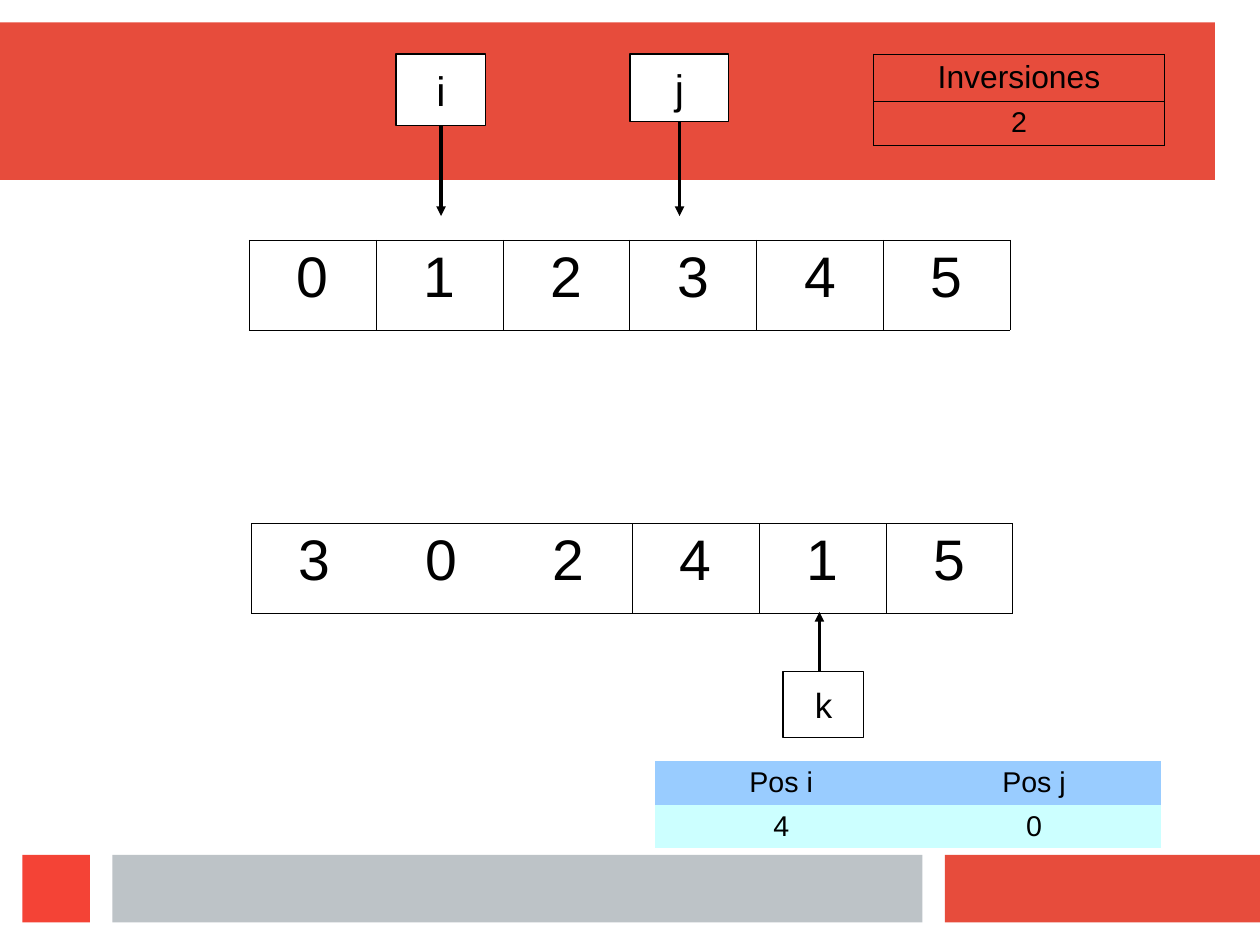
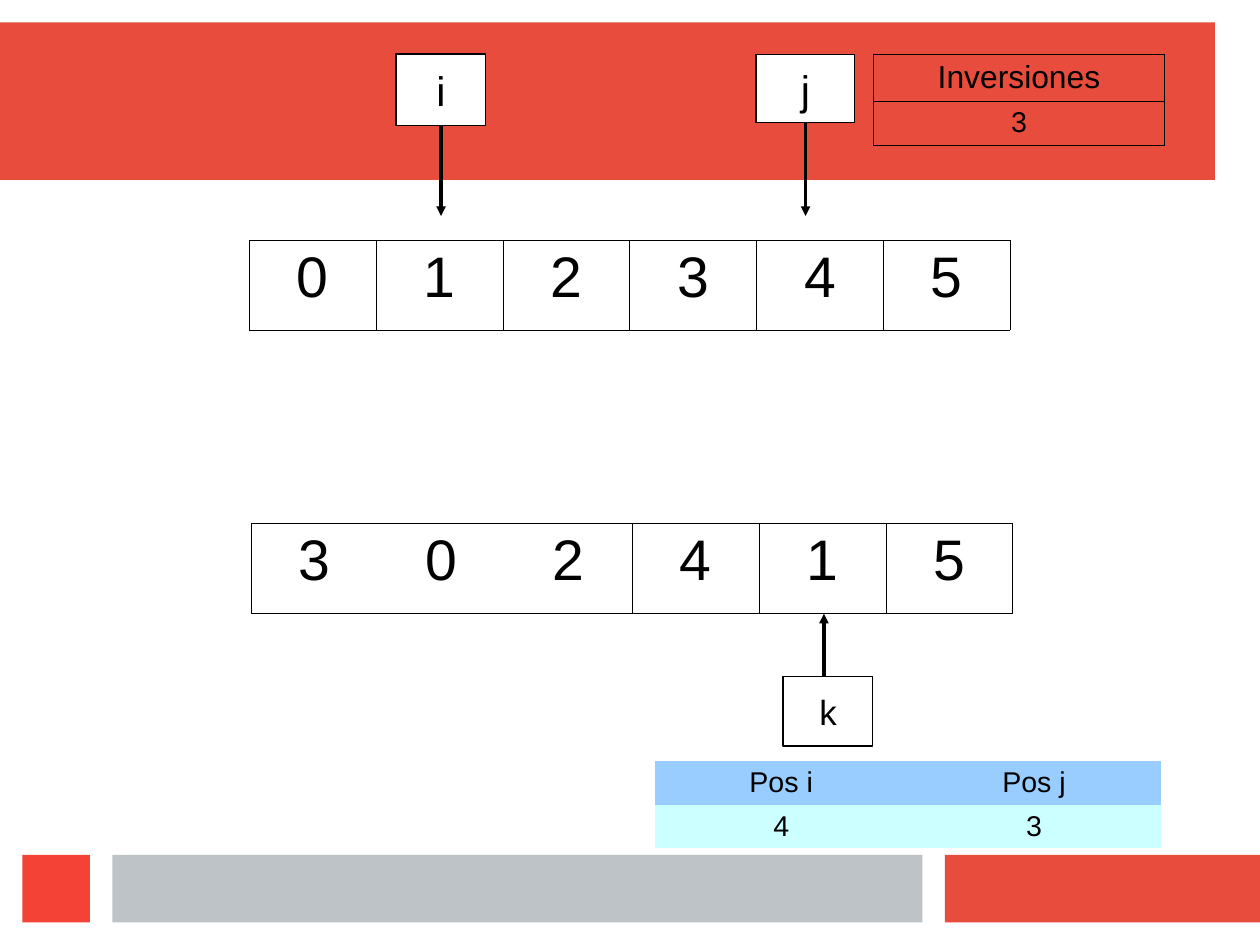
"""Build two slides that count the inversions of an array with pointers i, j and k."""
from dataclasses import dataclass
from typing import Any

from lxml import etree
from pptx import Presentation
from pptx import util as u
from pptx.dml import color
from pptx.enum import shapes, text
from pptx.oxml import ns

COLOURS = {
    "red": "E74C3C",
    "bright_red": "F44336",
    "grey": "BDC3C7",
    "black": "000000",
    "white": "FFFFFF",
    "blue": "99CCFF",
    "cyan": "CCFFFF",
}
FONT = {"name": "Arial"}
POINTER_TEXT = {"word_wrap": False, "vertical_anchor": text.MSO_ANCHOR.MIDDLE}
PLAIN_TABLE = {"first_row": False, "horz_banding": False}
NO_STYLE = "{2D5ABB26-0587-4C30-8999-92F81FD0307C}"
ARRAY_BORDER, COUNTER_BORDER = 0.06, 0.57


@dataclass(frozen=True)
class Band:
    left: float
    top: float
    width: float
    height: float
    colour: str


@dataclass(frozen=True)
class Pointer:
    label: str
    left: float
    top: float
    width: float
    height: float
    size: int
    tip: float
    shift: float = 0


@dataclass(frozen=True)
class Grid:
    left: float
    top: float
    column: float
    heights: tuple[float, ...]
    rows: tuple[tuple[str, ...], ...]
    sizes: tuple[int, ...]
    fills: tuple[str, ...] = ()
    border: float = 0
    joined: int = 1


@dataclass(frozen=True)
class Step:
    inversions: str
    positions: tuple[str, str]
    j: Pointer
    k: Pointer


BANDS = (
    Band(0, 0.5, 27, 3.5, "red"),
    Band(21, 19, 7, 1.5, "red"),
    Band(2.5, 19, 18, 1.5, "grey"),
    Band(0.5, 19, 1.5, 1.5, "bright_red"),
)
ARRAYS = (
    Grid(5.53, 5.33, 2.82, (2,), (tuple("012345"),), (36,), border=ARRAY_BORDER),
    Grid(5.58, 11.63, 2.82, (2,), (tuple("302415"),), (36,), border=ARRAY_BORDER, joined=3),
)
POINTER_I = Pointer("i", 8.8, 1.2, 2, 1.6, 26, 4.8)
STEPS = (
    Step("2", ("4", "0"), Pointer("j", 14, 1.2, 2.2, 1.5, 26, 4.8),
         Pointer("k", 17.4, 14.92, 1.8, 1.47, 22, 13.6, -0.09)),
    Step("3", ("4", "3"), Pointer("j", 16.8, 1.22, 2.2, 1.5, 26, 4.8),
         Pointer("k", 17.4, 15.03, 2, 1.55, 22, 13.64, -0.09)),
)


def rgb(name: str) -> color.RGBColor:
    return color.RGBColor.from_string(COLOURS[name])


def apply(target: Any, values: dict[str, Any]) -> None:
    for attribute, value in values.items():
        setattr(target, attribute, value)


def write(frame: Any, words: str, size: int) -> None:
    paragraph = frame.paragraphs[0]
    paragraph.alignment = text.PP_ALIGN.CENTER
    run = paragraph.add_run()
    run.text = words
    apply(run.font, FONT | {"size": u.Pt(size)})
    run.font.color.rgb = rgb("black")


def add_rectangle(slide: Any, part: Band | Pointer, fill: str) -> Any:
    rectangle = slide.shapes.add_shape(
        shapes.MSO_SHAPE.RECTANGLE,
        u.Cm(part.left), u.Cm(part.top), u.Cm(part.width), u.Cm(part.height))
    rectangle.shadow.inherit = False
    rectangle.fill.solid()
    rectangle.fill.fore_color.rgb = rgb(fill)
    return rectangle


def move_bands_to_layout(slide: Any) -> None:
    for band in BANDS:
        rectangle = add_rectangle(slide, band, band.colour)
        rectangle.line.fill.background()
        slide.slide_layout.shapes.element.append(rectangle.element)


def add_pointer(slide: Any, pointer: Pointer) -> None:
    box = add_rectangle(slide, pointer, "white")
    apply(box.text_frame, POINTER_TEXT)
    write(box.text_frame, pointer.label, pointer.size)
    upward = pointer.tip < pointer.top
    x = u.Cm(pointer.left + pointer.width / 2 + pointer.shift)
    start = u.Cm(pointer.top if upward else pointer.top + pointer.height)
    arrow = slide.shapes.add_connector(
        shapes.MSO_CONNECTOR.STRAIGHT, x, start, x, u.Cm(pointer.tip))
    if not pointer.shift:
        arrow.begin_connect(box, 0 if upward else 2)
    for outlined in (box, arrow):
        outlined.line.color.rgb = rgb("black")
        outlined.line.width = u.Pt(0)
    properties = arrow.element.spPr
    etree.SubElement(properties.find(ns.qn("a:ln")), ns.qn("a:tailEnd"), type="triangle")
    etree.SubElement(properties, ns.qn("a:effectLst"))


def add_borders(cell: Any, width: float, sides: str) -> None:
    properties = cell._tc.get_or_add_tcPr()
    for side in sides:
        edge = etree.SubElement(properties, ns.qn(f"a:ln{side}"), w=str(u.Pt(width)))
        fill = etree.SubElement(edge, ns.qn("a:solidFill"))
        etree.SubElement(fill, ns.qn("a:srgbClr"), val=COLOURS["black"])


def add_grid(slide: Any, grid: Grid) -> None:
    columns = len(grid.rows[0])
    frame = slide.shapes.add_table(
        len(grid.rows), columns, u.Cm(grid.left), u.Cm(grid.top),
        u.Cm(grid.column * columns), u.Cm(sum(grid.heights)))
    table = frame.table
    apply(table, PLAIN_TABLE)
    frame.element.xpath(".//a:tableStyleId")[0].text = NO_STYLE
    for column in table.columns:
        column.width = u.Cm(grid.column)
    for r, values in enumerate(grid.rows):
        table.rows[r].height = u.Cm(grid.heights[r])
        for c, value in enumerate(values):
            cell = table.cell(r, c)
            write(cell.text_frame, value, grid.sizes[r])
            if grid.border:
                left = "" if 0 < c < grid.joined else "L"
                right = "" if c < grid.joined - 1 else "R"
                add_borders(cell, grid.border, left + right + "TB")
            if grid.fills:
                cell.fill.solid()
                cell.fill.fore_color.rgb = rgb(grid.fills[r])
            else:
                cell.fill.background()


def add_step(slide: Any, step: Step) -> None:
    positions = Grid(14.55, 16.91, 5.62, (0.97, 0.97),
                     (("Pos i", "Pos j"), step.positions), (18, 18), ("blue", "cyan"))
    counter = Grid(19.41, 1.2, 6.47, (1.05, 0.97),
                   (("Inversiones",), (step.inversions,)), (20, 18), border=COUNTER_BORDER)
    for grid in (*ARRAYS, positions, counter):
        add_grid(slide, grid)
    for pointer in (POINTER_I, step.j, step.k):
        add_pointer(slide, pointer)


def main() -> None:
    deck = Presentation()
    apply(deck, {"slide_width": u.Cm(28), "slide_height": u.Cm(21)})
    blank = deck.slide_layouts[6]
    slides = [deck.slides.add_slide(blank) for _ in STEPS]
    move_bands_to_layout(slides[0])
    for slide, step in zip(slides, STEPS):
        add_step(slide, step)
    deck.save("out.pptx")


if __name__ == "__main__":
    main()
